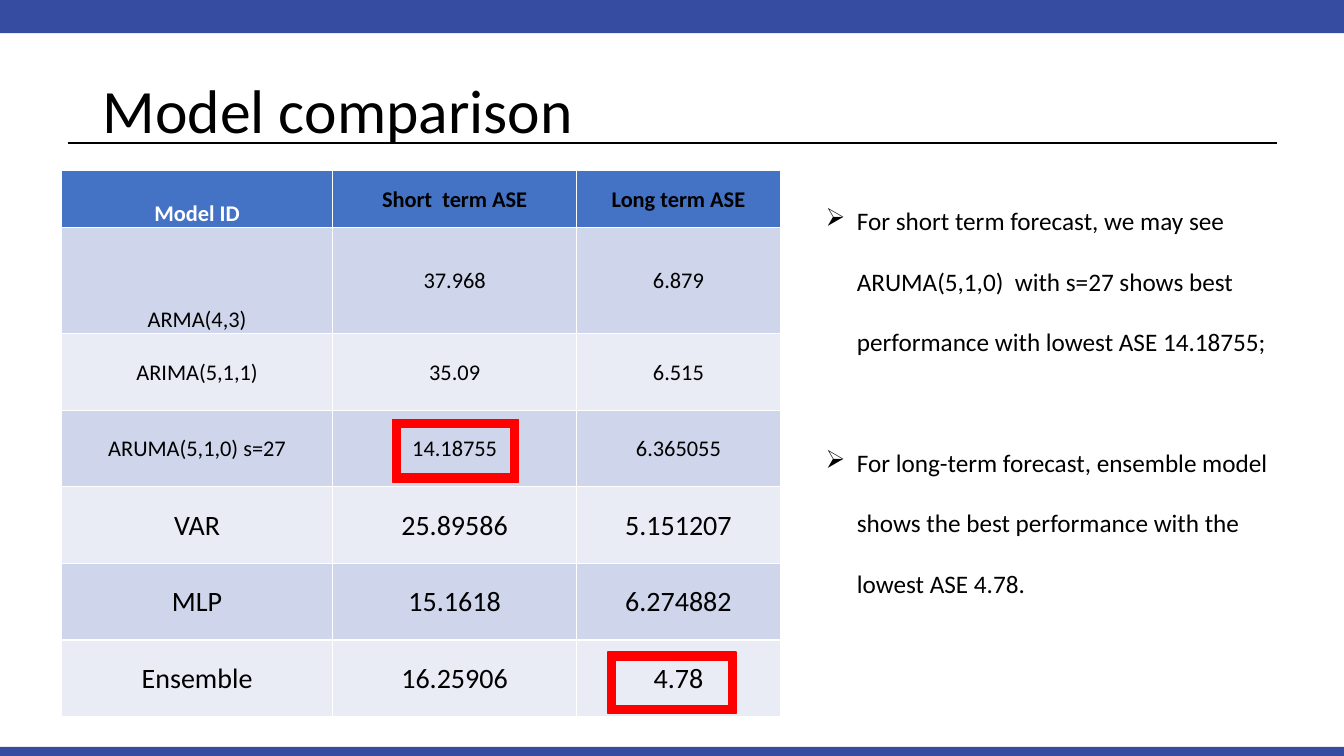
"""Build the model comparison slide."""
import dataclasses
import pptx
import pptx.dml.color
import pptx.enum.shapes
import pptx.enum.text
import pptx.oxml
import pptx.oxml.ns
import pptx.util

ALIGN = pptx.enum.text.PP_ALIGN
ANCHOR = pptx.enum.text.MSO_ANCHOR
SHAPE = pptx.enum.shapes.MSO_SHAPE

TITLE = "Model comparison"
MODELS = [
    ("Model ID", "Short  term ASE", "Long term ASE"),
    ("ARMA(4,3)", "37.968", "6.879"),
    ("ARIMA(5,1,1)", "35.09", "6.515"),
    ("ARUMA(5,1,0) s=27", "14.18755", "6.365055"),
    ("VAR", "25.89586", "5.151207"),
    ("MLP", "15.1618", "6.274882"),
    ("Ensemble", "16.25906", "4.78"),
]
NOTES = [
    "For short term forecast, we may see ARUMA(5,1,0)  with s=27 shows best "
    "performance with lowest ASE 14.18755;",
    "For long-term forecast, ensemble model shows the best performance with the "
    "lowest ASE 4.78.",
]
SIZE = (1333, 750)
BARS = [(0, 741, 1333, 10), (0, 0, 1333, 33)]
RULE = (67, 142, 1267, 142)
TITLE_BOX = (92, 40, 1150, 145)
GRID = (61, 169, 712, 541)
COLS = [269, 242, 202]
ROWS = [57, 105] + [76] * 5
NOTE_BOX = (809, 169, 463, 426)
FRAMES = [(389, 416, 125, 62), (603, 647, 127, 61)]
HANG = 31
LARGE_FROM = 4


@dataclasses.dataclass(frozen=True)
class Theme:
    font: str = "Calibri"
    ink: str = "000000"
    white: str = "FFFFFF"
    bar: str = "354CA1"
    head: str = "4472C4"
    bands: tuple = ("E9EBF5", "CFD5EA")
    mark: str = "FF0000"
    title: int = 44
    note: int = 18
    small: int = 16
    large: int = 20
    gap: int = 43


LOOK = Theme()


def px(num):
    return pptx.util.Emu(num * 9144)


def place(box):
    return [px(num) for num in box]


def rgb(code):
    return pptx.dml.color.RGBColor.from_string(code)


def write(para, text, size, color=LOOK.ink, bold=False, align=ALIGN.LEFT, space=1.0):
    para.alignment = align
    para.line_spacing = space
    run = para.add_run()
    run.text = text
    run.font.name = LOOK.font
    run.font.size = pptx.util.Pt(size)
    run.font.bold = bold
    run.font.color.rgb = rgb(color)


def draw(slide, kind, box, color, line=False):
    shape = slide.shapes.add_shape(kind, *place(box))
    shape.shadow.inherit = False
    shape.fill.solid()
    shape.fill.fore_color.rgb = rgb(color)
    if line:
        shape.line.color.rgb = rgb(color)
        shape.line.width = pptx.util.Pt(1)
    else:
        shape.line.fill.background()


def add_rule(slide):
    line = slide.shapes.add_connector(
        pptx.enum.shapes.MSO_CONNECTOR.STRAIGHT, *place(RULE))
    line.line.color.rgb = rgb(LOOK.ink)
    line.line.width = pptx.util.Pt(1.25)
    props = line._element.spPr
    props.append(props.makeelement(pptx.oxml.ns.qn("a:effectLst"), {}))


def add_title(slide):
    title = slide.shapes.title
    title.left, title.top, title.width, title.height = place(TITLE_BOX)
    frame = title.text_frame
    frame.auto_size = pptx.enum.text.MSO_AUTO_SIZE.NONE
    frame.vertical_anchor = ANCHOR.MIDDLE
    write(frame.paragraphs[0], TITLE, LOOK.title, space=0.9)


def add_grid(slide):
    table = slide.shapes.add_table(len(ROWS), len(COLS), *place(GRID)).table
    for col, width in zip(table.columns, COLS):
        col.width = px(width)
    for row, height in zip(table.rows, ROWS):
        row.height = px(height)
    for i, texts in enumerate(MODELS):
        for j, text in enumerate(texts):
            cell = table.cell(i, j)
            low = j == 0 and i < 2
            cell.vertical_anchor = ANCHOR.BOTTOM if low else ANCHOR.MIDDLE
            cell.margin_left = cell.margin_right = cell.margin_top = px(2 if low else 1)
            cell.margin_bottom = 0
            cell.fill.solid()
            cell.fill.fore_color.rgb = rgb(LOOK.bands[i % 2] if i else LOOK.head)
            write(cell.text_frame.paragraphs[0], text,
                  LOOK.large if i >= LARGE_FROM else LOOK.small,
                  color=LOOK.white if i == j == 0 else LOOK.ink,
                  bold=i == 0, align=ALIGN.CENTER)


def add_notes(slide):
    frame = slide.shapes.add_textbox(*place(NOTE_BOX)).text_frame
    frame.word_wrap = True
    for i, text in enumerate(NOTES):
        para = frame.add_paragraph() if i else frame.paragraphs[0]
        write(para, text, LOOK.note, space=2.0)
        if i:
            para.space_before = pptx.util.Pt(LOOK.gap)
        props = para._p.get_or_add_pPr()
        props.set("marL", str(px(HANG)))
        props.set("indent", str(-px(HANG)))
        mark = props.makeelement(pptx.oxml.ns.qn("a:buChar"), {"char": "➢"})
        props.append(mark)


def main():
    deck = pptx.Presentation()
    deck.slide_width, deck.slide_height = place(SIZE)
    slide = deck.slides.add_slide(deck.slide_layouts[5])
    for box in BARS:
        draw(slide, SHAPE.RECTANGLE, box, LOOK.bar)
    add_rule(slide)
    add_title(slide)
    add_grid(slide)
    add_notes(slide)
    for box in FRAMES:
        draw(slide, SHAPE.FRAME, box, LOOK.mark, line=True)
    deck.save("out.pptx")


if __name__ == "__main__":
    main()
